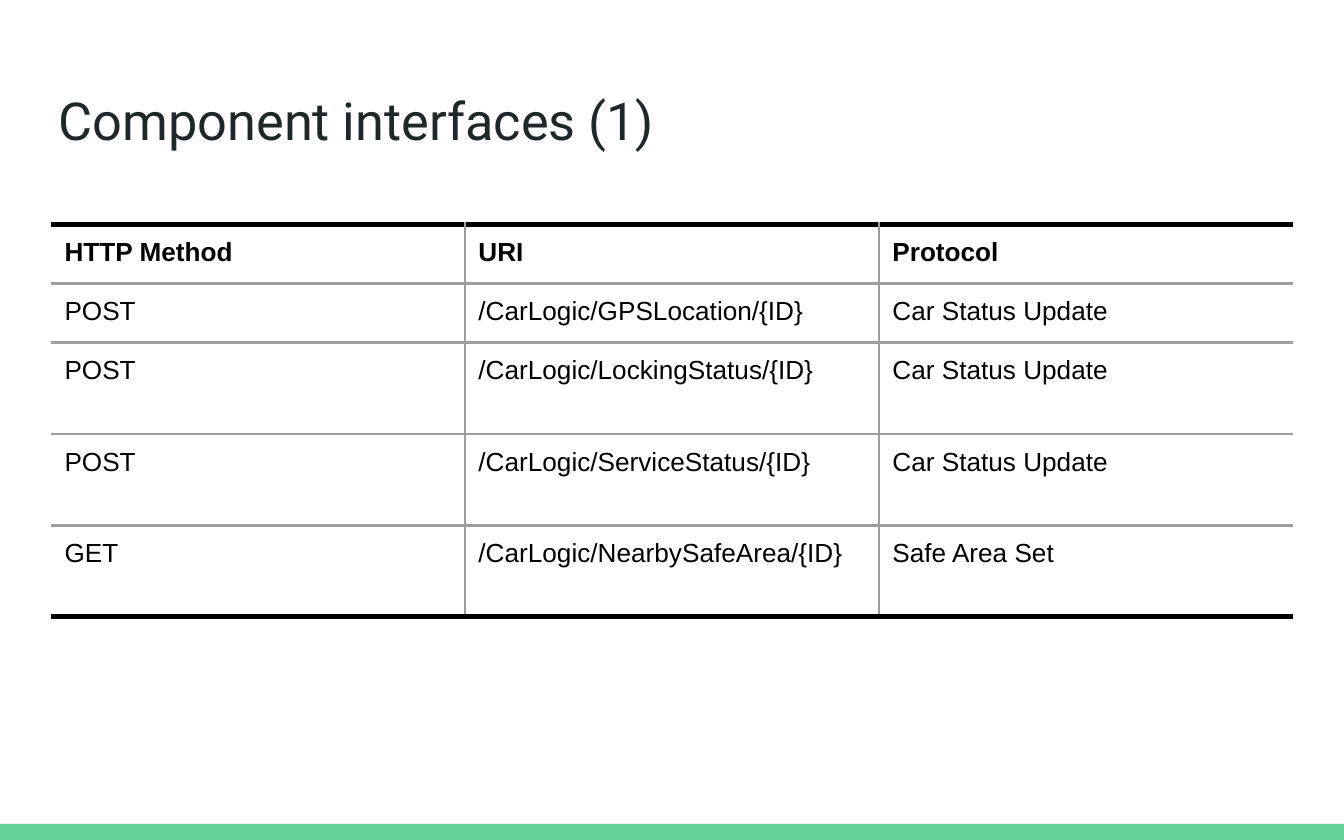
from lxml.etree import SubElement
from pptx import Presentation
from pptx.dml.color import RGBColor
from pptx.enum.shapes import MSO_SHAPE
from pptx.enum.text import MSO_ANCHOR
from pptx.oxml.ns import qn
from pptx.util import Inches, Pt

GREEN = RGBColor(0x63, 0xD2, 0x97)
INK = RGBColor(0x20, 0x27, 0x29)
BLACK = RGBColor(0x00, 0x00, 0x00)
GRAY = RGBColor(0x9E, 0x9E, 0x9E)

INTERFACES = [
    ("HTTP Method", "URI", "Protocol"),
    ("POST", "/CarLogic/GPSLocation/{ID}", "Car Status Update"),
    ("POST", "/CarLogic/LockingStatus/{ID}", "Car Status Update"),
    ("POST", "/CarLogic/ServiceStatus/{ID}", "Car Status Update"),
    ("GET", "/CarLogic/NearbySafeArea/{ID}", "Safe Area Set"),
]
ROW_HEIGHTS = [0.44, 0.44, 0.68, 0.68, 0.68]
COLUMN_WIDTH = 3.08
RULE = (BLACK, 3)
ROW_LINE = (GRAY, 1.5)
COLUMN_LINE = (GRAY, 0.75)


def set_border(cell, side, line):
    properties = cell._tc.get_or_add_tcPr()
    border = SubElement(properties, qn(f"a:ln{side}"))
    if line is None:
        SubElement(border, qn("a:noFill"))
        return
    color, width = line
    border.set("w", str(Pt(width)))
    fill = SubElement(border, qn("a:solidFill"))
    SubElement(fill, qn("a:srgbClr")).set("val", str(color))


def style_text(frame, font_name, size, color, bold=False):
    frame.word_wrap = True
    frame.margin_left = frame.margin_right = Inches(0.1)
    frame.margin_top = frame.margin_bottom = Inches(0.1)
    font = frame.paragraphs[0].runs[0].font
    font.name = font_name
    font.size = Pt(size)
    font.bold = bold
    font.color.rgb = color


presentation = Presentation()
presentation.slide_width = Inches(10)
presentation.slide_height = Inches(6.25)
slide = presentation.slides.add_slide(presentation.slide_layouts[6])

footer_band = slide.shapes.add_shape(
    MSO_SHAPE.RECTANGLE, Inches(0), Inches(6.13), Inches(10), Inches(0.12)
)
footer_band.shadow.inherit = False
footer_band.fill.solid()
footer_band.fill.fore_color.rgb = GREEN
footer_band.line.fill.background()

title = slide.shapes.add_textbox(
    Inches(0.34), Inches(0.54), Inches(9.32), Inches(0.7)
).text_frame
title.text = "Component interfaces (1)"
title.vertical_anchor = MSO_ANCHOR.MIDDLE
style_text(title, "Roboto", 28, INK)

row_count, column_count = len(INTERFACES), len(INTERFACES[0])
interfaces = slide.shapes.add_table(
    row_count, column_count, Inches(0.38), Inches(1.67),
    Inches(COLUMN_WIDTH * column_count), Inches(sum(ROW_HEIGHTS)),
).table
interfaces.first_row = False
interfaces.horz_banding = False
for column in interfaces.columns:
    column.width = Inches(COLUMN_WIDTH)

for r, (values, height) in enumerate(zip(INTERFACES, ROW_HEIGHTS)):
    interfaces.rows[r].height = Inches(height)
    for c, value in enumerate(values):
        cell = interfaces.cell(r, c)
        cell.text = value
        style_text(cell.text_frame, "Arial", 14, BLACK, bold=r == 0)
        cell.margin_left = cell.margin_right = Inches(0.1)
        cell.margin_top = cell.margin_bottom = Inches(0.1)
        set_border(cell, "L", COLUMN_LINE if c > 0 else None)
        set_border(cell, "R", COLUMN_LINE if c < column_count - 1 else None)
        set_border(cell, "T", ROW_LINE if r > 0 else RULE)
        set_border(cell, "B", ROW_LINE if r < row_count - 1 else RULE)
        cell.fill.background()

presentation.save("out.pptx")
